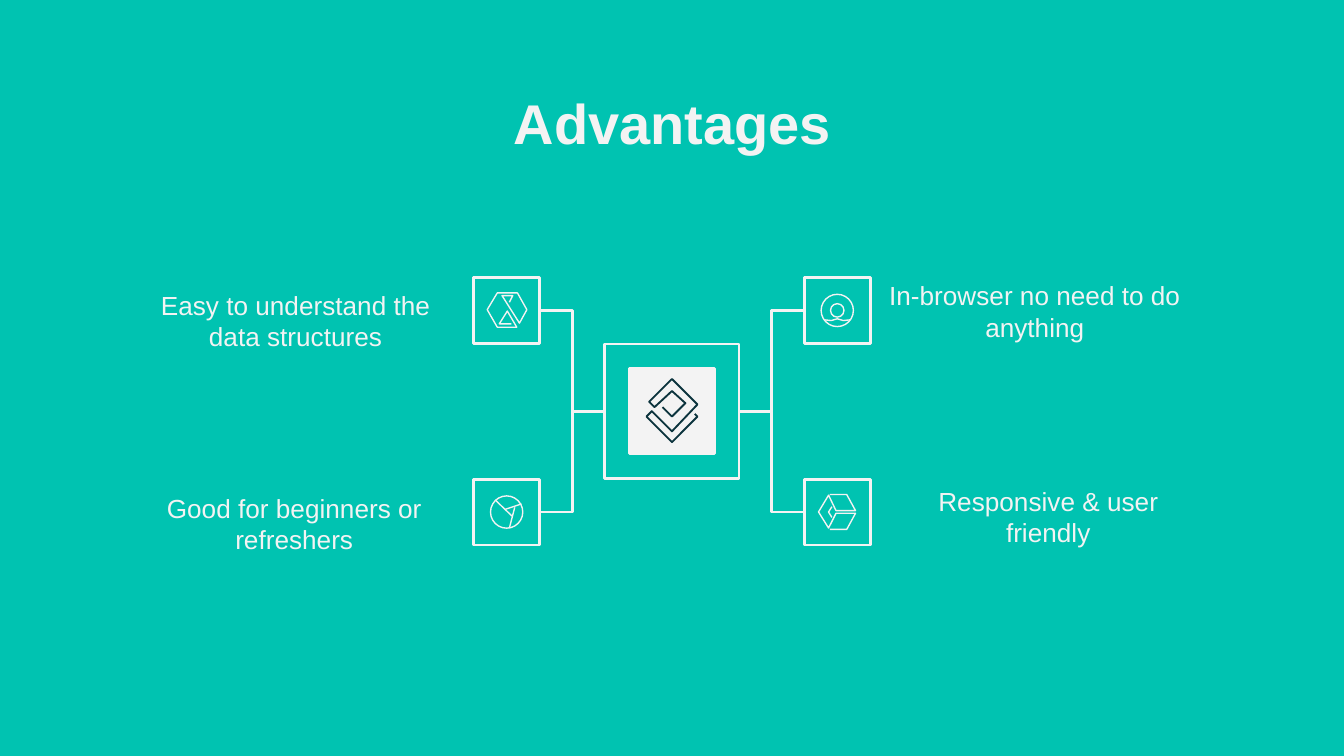
from dataclasses import dataclass

from lxml import etree
from pptx import Presentation, util as u
from pptx.dml.color import RGBColor
from pptx.enum import shapes, text
from pptx.oxml import ns


@dataclass(frozen=True)
class Theme:
    background: RGBColor = RGBColor.from_string("00C3B1")
    light: RGBColor = RGBColor.from_string("F3F3F3")
    dark: RGBColor = RGBColor.from_string("0C343D")
    font: str = "Arial"
    title_size: float = 30
    label_size: float = 14
    frame_line: float = 1.5
    mark_line: float = 1
    icon_line: float = 0.75


THEME = Theme()
WIDTH = 10
HEIGHT = WIDTH * 9 / 16

# Diagram grid: a hub with one column of frames on each side
HUB_X, HUB_Y = WIDTH / 2, 3.06
COLUMN_STEP, ROW_STEP = 1.23, 0.75
HUB_SIZE, PLATE_SIZE, FRAME_SIZE = 1, 0.63, 0.49
LABEL_SIZE = (2.44, 0.49)
INSET = 0.1
LEFT_SITE, RIGHT_SITE = 1, 3

# Icon strokes, in thousandths of an inch from the icon's centre
HUB_MARK = [[(-70, -30), (0, 40), (100, -60), (0, -150), (-130, -30),
             (-170, -70), (0, -240), (190, -50), (0, 150), (-150, 0),
             (-190, 40), (0, 230), (190, 40), (170, 20)]]
HEXAGON = [[(35, 100), (-55, 100), (5, 5), (75, 125), (-70, 125),
            (-145, -5), (-70, -130), (80, -130), (150, -5), (95, 95),
            (-35, -110), (45, -110), (20, -60)]]
RINGS = [[(-95, 70), (-45, 75), (0, 62), (45, 75), (95, 70)]]
PIE = [[(-85, -90), (40, 30)], [(-10, -20), (110, -60)],
       [(60, -35), (20, 120)]]
CUBE = [[(-55, -130), (70, -130), (135, -10), (-10, -10), (-65, -125),
         (-140, 0), (-65, 120), (-10, 10), (135, 10), (70, 130), (-55, 130)],
        [(-40, -40), (-65, 0), (-40, 40)]]

# Column, row, label, label position, icon strokes, icon circle radii
ADVANTAGES = [
    (-1, -1, "Easy to understand the data structures", (0.98, 2.05), HEXAGON, []),
    (1, -1, "In-browser no need to do anything", (6.48, 1.98), RINGS, [0.12, 0.05]),
    (-1, 1, "Good for beginners or refreshers", (0.97, 3.56), PIE, [0.12]),
    (1, 1, "Responsive & user friendly", (6.58, 3.51), CUBE, []),
]


def style_outline(shape, color, width):
    shape.shadow.inherit = False
    shape.fill.background()
    shape.line.color.rgb = color
    shape.line.width = u.Pt(width)


def add_centred(slide, preset, x, y, size, width=THEME.frame_line):
    shape = slide.shapes.add_shape(
        preset, u.Inches(x - size / 2), u.Inches(y - size / 2),
        u.Inches(size), u.Inches(size))
    style_outline(shape, THEME.light, width)
    return shape


def add_strokes(slide, x, y, strokes, color, width):
    for stroke in strokes:
        points = [(x * 1000 + dx, y * 1000 + dy) for dx, dy in stroke]
        builder = slide.shapes.build_freeform(*points[0], scale=914.4)
        builder.add_line_segments(points[1:], close=False)
        style_outline(builder.convert_to_shape(), color, width)


def add_text(slide, words, position, size, points, bold=False):
    box = slide.shapes.add_textbox(*map(u.Inches, position + size))
    frame = box.text_frame
    frame.word_wrap = True
    frame.vertical_anchor = text.MSO_ANCHOR.TOP
    frame.margin_left = frame.margin_right = u.Inches(INSET)
    frame.margin_top = frame.margin_bottom = u.Inches(INSET)
    frame.text = words
    paragraph = frame.paragraphs[0]
    paragraph.alignment = text.PP_ALIGN.CENTER
    font = paragraph.runs[0].font
    font.name, font.size, font.bold = THEME.font, u.Pt(points), bold
    font.color.rgb = THEME.light


def add_elbow(slide, start, start_site, end, end_site):
    connector = slide.shapes.add_connector(
        shapes.MSO_CONNECTOR.ELBOW, 0, 0, 0, 0)
    connector.begin_connect(start, start_site)
    connector.end_connect(end, end_site)
    connector.line.color.rgb = THEME.light
    connector.line.width = u.Pt(THEME.frame_line)
    etree.SubElement(connector._element.spPr, ns.qn("a:effectLst"))


def add_hub(slide):
    rectangle = shapes.MSO_SHAPE.RECTANGLE
    hub = add_centred(slide, rectangle, HUB_X, HUB_Y, HUB_SIZE)
    plate = add_centred(slide, rectangle, HUB_X, HUB_Y, PLATE_SIZE)
    plate.fill.solid()
    plate.fill.fore_color.rgb = THEME.light
    add_strokes(slide, HUB_X, HUB_Y, HUB_MARK, THEME.dark, THEME.mark_line)
    return hub


def add_advantage(slide, hub, column, row, label, position, strokes, radii):
    x, y = HUB_X + column * COLUMN_STEP, HUB_Y + row * ROW_STEP
    frame = add_centred(slide, shapes.MSO_SHAPE.RECTANGLE, x, y, FRAME_SIZE)
    for radius in radii:
        add_centred(slide, shapes.MSO_SHAPE.OVAL, x, y, 2 * radius,
                    THEME.icon_line)
    add_strokes(slide, x, y, strokes, THEME.light, THEME.icon_line)
    add_text(slide, label, position, LABEL_SIZE, THEME.label_size)
    sites = (RIGHT_SITE, LEFT_SITE) if column < 0 else (LEFT_SITE, RIGHT_SITE)
    add_elbow(slide, frame, sites[0], hub, sites[1])


def main():
    presentation = Presentation()
    presentation.slide_width = u.Inches(WIDTH)
    presentation.slide_height = u.Inches(HEIGHT)
    slide = presentation.slides.add_slide(presentation.slide_layouts[6])
    slide.background.fill.solid()
    slide.background.fill.fore_color.rgb = THEME.background

    # Title
    add_text(slide, "Advantages", (0.79, 0.56), (8.43, 0.63),
             THEME.title_size, bold=True)

    # Hub and its four advantages
    hub = add_hub(slide)
    for advantage in ADVANTAGES:
        add_advantage(slide, hub, *advantage)

    presentation.save("out.pptx")


if __name__ == "__main__":
    main()
